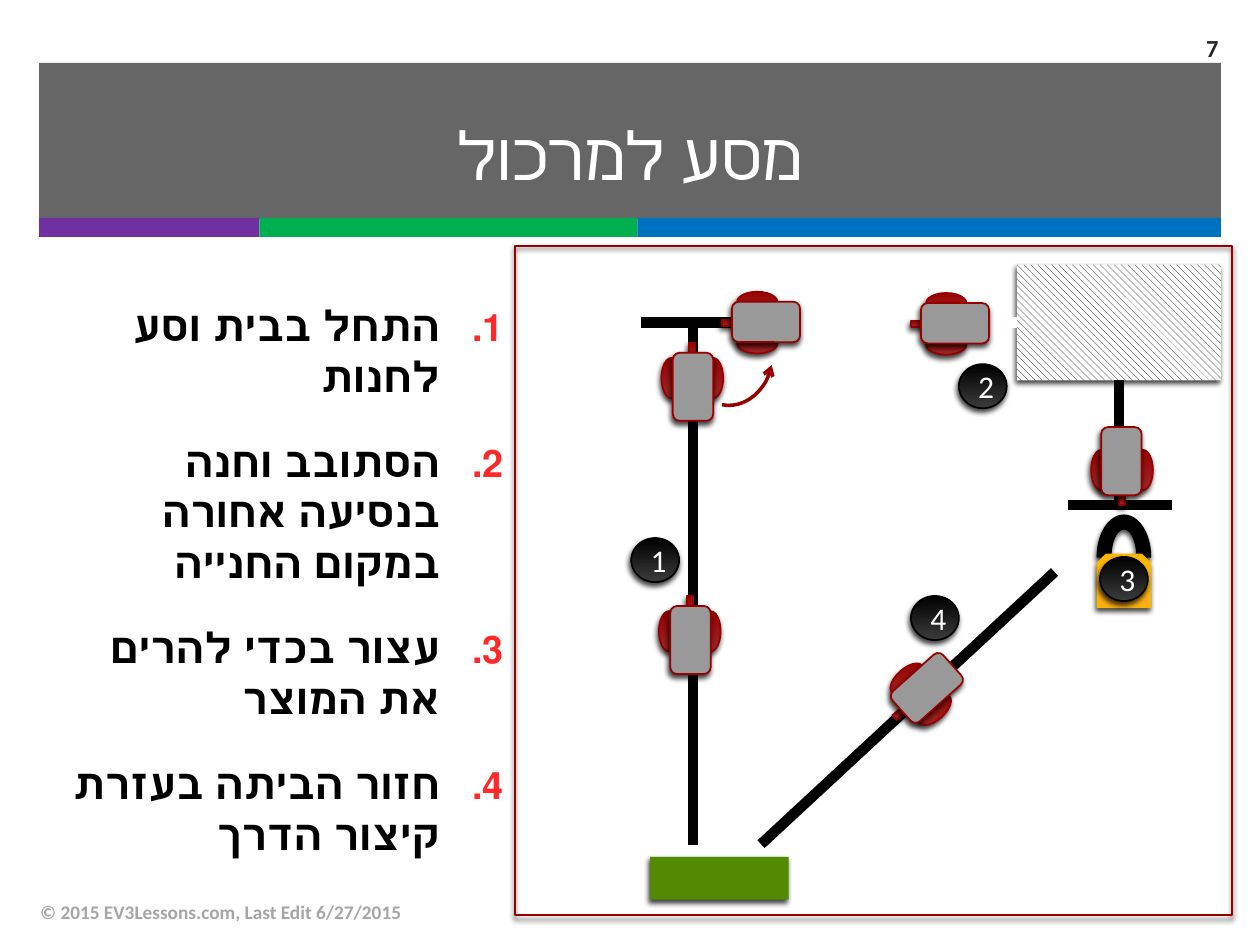
from lxml import etree
from pptx import Presentation
from pptx import util as u
from pptx.dml.color import RGBColor
from pptx.enum import dml, shapes, text
from pptx.oxml import parse_xml
from pptx.oxml.ns import nsdecls, qn

prs = Presentation()
prs.slide_width, prs.slide_height = u.Inches(10), u.Inches(7.5)
col, row = prs.slide_width / 100, prs.slide_height / 75
slide = prs.slides.add_slide(prs.slide_layouts[6])
rgb = RGBColor.from_string
auto = shapes.MSO_SHAPE
al = text.PP_ALIGN

SHADOW = (f'<a:outerShdw {nsdecls("a")} blurRad="38100" dist="25400" dir="6600000" rotWithShape="0">'
          '<a:srgbClr val="000000"><a:alpha val="75000"/></a:srgbClr></a:outerShdw>')


def box(parent, kind, x, y, w, h, fill=None, line=None, shadow=True):
    s = parent.shapes.add_shape(kind, *map(round, (x * col, y * row, w * col, h * row)))
    s.shadow.inherit = False
    if shadow:
        s._element.spPr.find(qn("a:effectLst")).append(parse_xml(SHADOW))
    if isinstance(fill, tuple):
        s.fill.gradient()
        s.fill.gradient_angle = 90
        for stop, c in zip(s.fill.gradient_stops, fill):
            stop.color.rgb = rgb(c)
    elif fill:
        s.fill.solid()
        s.fill.fore_color.rgb = rgb(fill)
    else:
        s.fill.background()
    if line:
        s.line.color.rgb = rgb(line)
        s.line.width = u.Pt(1)
    else:
        s.line.fill.background()
    return s


def write(tf, lines, align, **fmt):
    tf.word_wrap = True
    for i, t in enumerate(lines):
        p = tf.paragraphs[0] if i == 0 else tf.add_paragraph()
        p.alignment = align
        r = p.add_run()
        r.text = t
        r.font.color.rgb = rgb(fmt["color"])
        for k in ("name", "size", "bold"):
            setattr(r.font, k, fmt[k])


header = box(slide, auto.RECTANGLE, 3.1, 5, 93.8, 12.4, "262626", shadow=False)
etree.SubElement(header.fill._xPr.find(qn("a:solidFill"))[0], qn("a:alpha"), val="70000")
x = 3.1
for w, c in ((17.5, "7030A0"), (30, "00B050"), (46.3, "0070C0")):
    box(slide, auto.RECTANGLE, x, 17.3, w, 1.5, c, shadow=False)
    x += w
box(slide, auto.RECTANGLE, 40.9, 19.5, 56.9, 53.1, line="960000")

steps = ["התחל בבית וסע לחנות", "הסתובב וחנה בנסיעה אחורה במקום החנייה",
         "עצור בכדי להרים את המוצר", "חזור הביתה בעזרת קיצור הדרך"]
top, mid = text.MSO_ANCHOR.TOP, text.MSO_ANCHOR.MIDDLE
texts = [
    ((3.1, 6.9, 93.8, 10.6), mid, ["מסע למרכול"], al.CENTER,
     dict(name="Roboto", size=u.Pt(38), bold=False, color="FFFFFF")),
    ((2.2, 70.4, 67, 4), mid, ["© 2015 EV3Lessons.com, Last Edit 6/27/2015"], al.LEFT,
     dict(name="Calibri", size=u.Pt(11), bold=True, color="A6A6A6")),
    ((90.8, 1.8, 6.9, 3.9), mid, ["7"], al.RIGHT,
     dict(name="Calibri", size=u.Pt(14), bold=True, color="262626")),
    ((3.1, 23.3, 37.8, 43.7), top, steps, al.RIGHT,
     dict(name="Roboto", size=u.Pt(24), bold=True, color="000000")),
]
for (x, y, w, h), anchor, lines, align, fmt in texts:
    tf = slide.shapes.add_textbox(*map(round, (x * col, y * row, w * col, h * row))).text_frame
    tf.vertical_anchor = anchor
    write(tf, lines, align, **fmt)

for i, p in enumerate(tf.paragraphs):
    p.space_before = u.Pt(20 if i else 0)
    pPr = p._p.get_or_add_pPr()
    for k, v in dict(marL="457200", marR="0", indent="-457200", rtl="1").items():
        pPr.set(k, v)
    clr = etree.SubElement(pPr, qn("a:buClr"))
    etree.SubElement(clr, qn("a:srgbClr"), val="FF2929")
    etree.SubElement(pPr, qn("a:buSzPct"), val="90000")
    etree.SubElement(pPr, qn("a:buFont"), typeface="Arial")
    etree.SubElement(pPr, qn("a:buAutoNum"), type="arabicPeriod")

store = box(slide, auto.RECTANGLE, 80.7, 21, 16.2, 9.2)
store.fill.patterned()
store.fill.pattern = dml.MSO_PATTERN.WIDE_DOWNWARD_DIAGONAL
store.fill.fore_color.rgb, store.fill.back_color.rgb = rgb("000000"), rgb("FFFFFF")
box(slide, auto.RECTANGLE, 51.6, 68, 11, 3.4, "528A02")
box(slide, auto.BLOCK_ARC, 87.1, 40.9, 4.2, 6.6, "000000", "000000")
box(slide, auto.SNIP_2_SAME_RECTANGLE, 87.1, 44, 4.2, 4.2, ("FFAE17", "FFBA00"), "F9B600")

roads = [
    (55, 67.1, 55, 25.6, "000000", None),
    (88.8, 40.1, 88.8, 30.2, "000000", 2),
    (60.4, 25.6, 80.7, 25.6, "FFFFFF", 1),
    (60.4, 67, 83.7, 45.4, "000000", None),
    (93, 40.1, 84.8, 40.1, "000000", None),
    (59, 25.6, 50.9, 25.6, "000000", None),
]
for x1, y1, x2, y2, c, side in roads:
    s = slide.shapes.add_connector(shapes.MSO_CONNECTOR.STRAIGHT,
                                   *map(round, (x1 * col, y1 * row, x2 * col, y2 * row)))
    s.line.color.rgb = rgb(c)
    s.line.width = u.Pt(6)
    etree.SubElement(s._element.spPr, qn("a:effectLst"))
    if side:
        s.end_connect(store, side)

red = ("9D2828", "990000")
parts = [
    (auto.OVAL, -2.45, -1.9, 1.6, 3.2, red),
    (auto.OVAL, 0.85, -1.9, 1.6, 3.2, red),
    (auto.RECTANGLE, -0.25, -3.1, 0.5, 1.4, red),
    (auto.ROUNDED_RECTANGLE, -1.55, -2.3, 3.2, 5.4, "999999"),
]
robots = [(54.75, 50.4, 0), (75.4, 25.7, 270), (89.05, 37, 180),
          (73.3, 54.9, 228.2), (60.4, 25.6, 270), (54.95, 30.3, 0)]
for cx, cy, turn in robots:
    g = slide.shapes.add_group_shape()
    for kind, dx, dy, w, h, fill in parts:
        box(g, kind, cx + dx, cy + dy, w, h, fill, "960000")
    g.rotation = turn

for n, x, y in (("2", 76.1, 28.9), ("1", 50.1, 42.7), ("3", 87.3, 44.2), ("4", 72.3, 47.3)):
    s = box(slide, auto.OVAL, x, y, 3.8, 3.5, ("3B3B3B", "000000"), "000000")
    s.text_frame.vertical_anchor = mid
    write(s.text_frame, [n], al.CENTER, name="Calibri", size=u.Pt(18), bold=False, color="FFFFFF")

arc = box(slide, auto.ARC, 54.2, 25.1, 7.7, 6.5, line="990000", shadow=False)
arc.rotation = 101.1
arc.line.width = u.Pt(2)
etree.SubElement(arc.line._get_or_add_ln(), qn("a:headEnd"), type="arrow")

prs.save("out.pptx")
